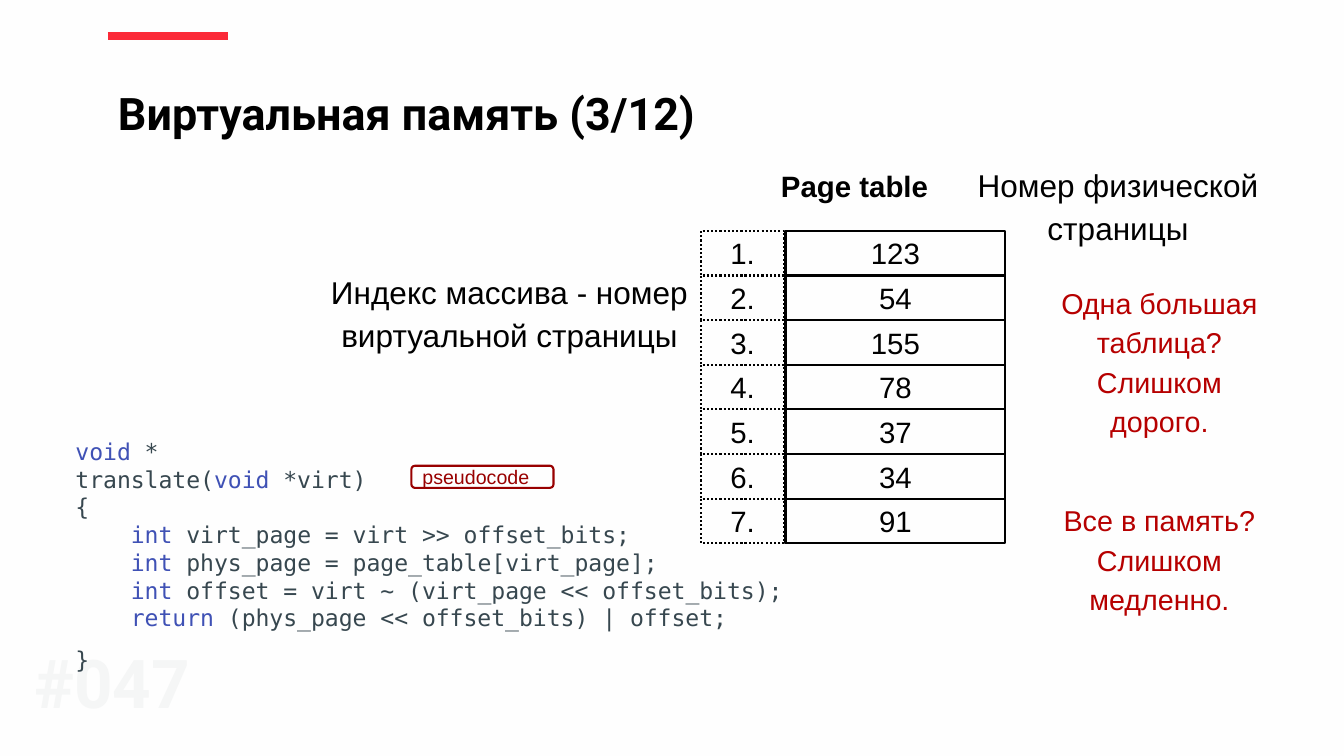
from lxml import etree
from pptx import Presentation
from pptx.dml.color import RGBColor
from pptx.enum.dml import MSO_LINE
from pptx.enum.shapes import MSO_CONNECTOR, MSO_SHAPE
from pptx.enum.text import MSO_ANCHOR, PP_ALIGN
from pptx.oxml.ns import qn
from pptx.util import Inches, Pt

BACKGROUND = RGBColor(0xFE, 0xFE, 0xFE)
BLACK = RGBColor(0x00, 0x00, 0x00)
ACCENT = RGBColor(0xFB, 0x2A, 0x38)
PALE = RGBColor(0xF5, 0xF6, 0xF6)
KEYWORD = RGBColor(0x3F, 0x51, 0xB5)
CODE = RGBColor(0x37, 0x47, 0x4F)
LABEL = RGBColor(0x98, 0x00, 0x00)
WARNING = RGBColor(0xB6, 0x00, 0x00)

KEYWORDS = ("void", "int", "return")
CODE_LINES = [
    "void *",
    "translate(void *virt)",
    "{",
    "    int virt_page = virt >> offset_bits;",
    "    int phys_page = page_table[virt_page];",
    "    int offset = virt ~ (virt_page << offset_bits);",
    "    return (phys_page << offset_bits) | offset;",
    "}",
]
PHYSICAL_PAGES = [123, 54, 155, 78, 37, 34, 91]
TABLE_TOP, TABLE_HEIGHT = 2.29, 3.1


def write_text(paragraph, text, size=21, color=BLACK, font="Arial", bold=False,
               align=PP_ALIGN.LEFT, spacing=1.0):
    """Append a formatted run to the paragraph."""
    paragraph.alignment = align
    paragraph.line_spacing = spacing
    run = paragraph.add_run()
    run.text = text
    run.font.name = font
    run.font.size = Pt(size)
    run.font.bold = bold
    run.font.color.rgb = color


def split_keyword(line):
    """Return the parts of a code line as (text, color) pairs."""
    for keyword in KEYWORDS:
        before, found, after = line.partition(keyword)
        if found:
            parts = [(before, CODE), (found, KEYWORD), (after, CODE)]
            return [part for part in parts if part[0]]
    return [(line, CODE)]


class SlideBuilder:
    def __init__(self, presentation):
        self.slide = presentation.slides.add_slide(presentation.slide_layouts[5])
        self.slide.background.fill.solid()
        self.slide.background.fill.fore_color.rgb = BACKGROUND

    def prepare_frame(self, shape, anchor=MSO_ANCHOR.TOP, vertical=0.1):
        frame = shape.text_frame
        frame.word_wrap = True
        frame.vertical_anchor = anchor
        frame.margin_left = frame.margin_right = Inches(0.1)
        frame.margin_top = frame.margin_bottom = Inches(vertical)
        return frame

    def title(self, text, left, top, width, height):
        shape = self.slide.shapes.title
        shape.left, shape.top = Inches(left), Inches(top)
        shape.width, shape.height = Inches(width), Inches(height)
        frame = self.prepare_frame(shape, vertical=0.05)
        write_text(frame.paragraphs[0], text, size=32, font="Roboto",
                   bold=True, spacing=0.9)

    def text(self, text, left, top, width, height, vertical=0.1, **style):
        shape = self.slide.shapes.add_textbox(
            Inches(left), Inches(top), Inches(width), Inches(height))
        frame = self.prepare_frame(shape, vertical=vertical)
        write_text(frame.paragraphs[0], text, **style)

    def code(self, lines, left, top, width, height):
        shape = self.slide.shapes.add_textbox(
            Inches(left), Inches(top), Inches(width), Inches(height))
        frame = self.prepare_frame(shape)
        for index, line in enumerate(lines):
            paragraph = frame.add_paragraph() if index else frame.paragraphs[0]
            spacing = 1.5 if line == "}" else 1.0
            for part, color in split_keyword(line):
                write_text(paragraph, part, size=16.5, color=color,
                           font="DejaVu Sans Mono", spacing=spacing)

    def box(self, text, left, top, width, height, kind=MSO_SHAPE.RECTANGLE,
            dash=None, color=BLACK, **style):
        shape = self.slide.shapes.add_shape(
            kind, Inches(left), Inches(top), Inches(width), Inches(height))
        shape.shadow.inherit = False
        shape.fill.background()
        shape.line.color.rgb = color
        shape.line.width = Pt(1.5)
        if dash:
            shape.line.dash_style = dash
        frame = self.prepare_frame(shape, anchor=MSO_ANCHOR.MIDDLE)
        write_text(frame.paragraphs[0], text, color=color, **style)

    def line(self, left, top, right, color, width):
        connector = self.slide.shapes.add_connector(
            MSO_CONNECTOR.STRAIGHT, Inches(left), Inches(top), Inches(right), Inches(top))
        connector.line.color.rgb = color
        connector.line.width = Pt(width)
        etree.SubElement(connector._element.spPr, qn("a:effectLst"))


def main():
    presentation = Presentation()
    presentation.slide_width = Inches(13.33)
    presentation.slide_height = Inches(7.5)
    builder = SlideBuilder(presentation)

    # Heading and slide number
    builder.line(1.07, 0.36, 2.26, ACCENT, 6)
    builder.title("Виртуальная память (3/12)", 1.07, 0.86, 10.64, 0.9)
    builder.text("#047", 0.24, 6.4, 3, 1.38, vertical=0.05, size=48, color=PALE,
                 font="Roboto", bold=True, spacing=0.9)

    # Page table: dotted index beside each physical page
    row_height = TABLE_HEIGHT / len(PHYSICAL_PAGES)
    for row, page in enumerate(PHYSICAL_PAGES):
        top = TABLE_TOP + row * row_height
        builder.box(f"{row + 1}.", 6.95, top, 0.83, row_height,
                    dash=MSO_LINE.ROUND_DOT, align=PP_ALIGN.CENTER)
        builder.box(str(page), 7.79, top, 2.18, row_height, align=PP_ALIGN.CENTER)
    builder.text("Page table", 7.07, 1.57, 2.81, 0.56, bold=True, align=PP_ALIGN.CENTER)

    # Explanations and warnings
    notes = [
        ("Индекс массива - номер виртуальной страницы", 3.14, 2.55, 3.83, 1.02, 22.5, BLACK),
        ("Номер физической страницы", 9.59, 1.49, 3, 1.31, 22.5, BLACK),
        ("Одна большая таблица? Слишком дорого.", 10.41, 2.68, 2.18, 1.74, 20.5, WARNING),
        ("Все в память? Слишком медленно.", 10.41, 4.84, 2.18, 1.34, 20.5, WARNING),
    ]
    for text, left, top, width, height, size, color in notes:
        builder.text(text, left, top, width, height, size=size, color=color,
                     align=PP_ALIGN.CENTER, spacing=1.15)

    # Translation pseudocode
    builder.code(CODE_LINES, 0.65, 4.24, 7.57, 2.8)
    builder.box("pseudocode", 4.08, 4.62, 1.41, 0.22, kind=MSO_SHAPE.ROUNDED_RECTANGLE,
                color=LABEL, size=14)

    presentation.save("out.pptx")


if __name__ == "__main__":
    main()
